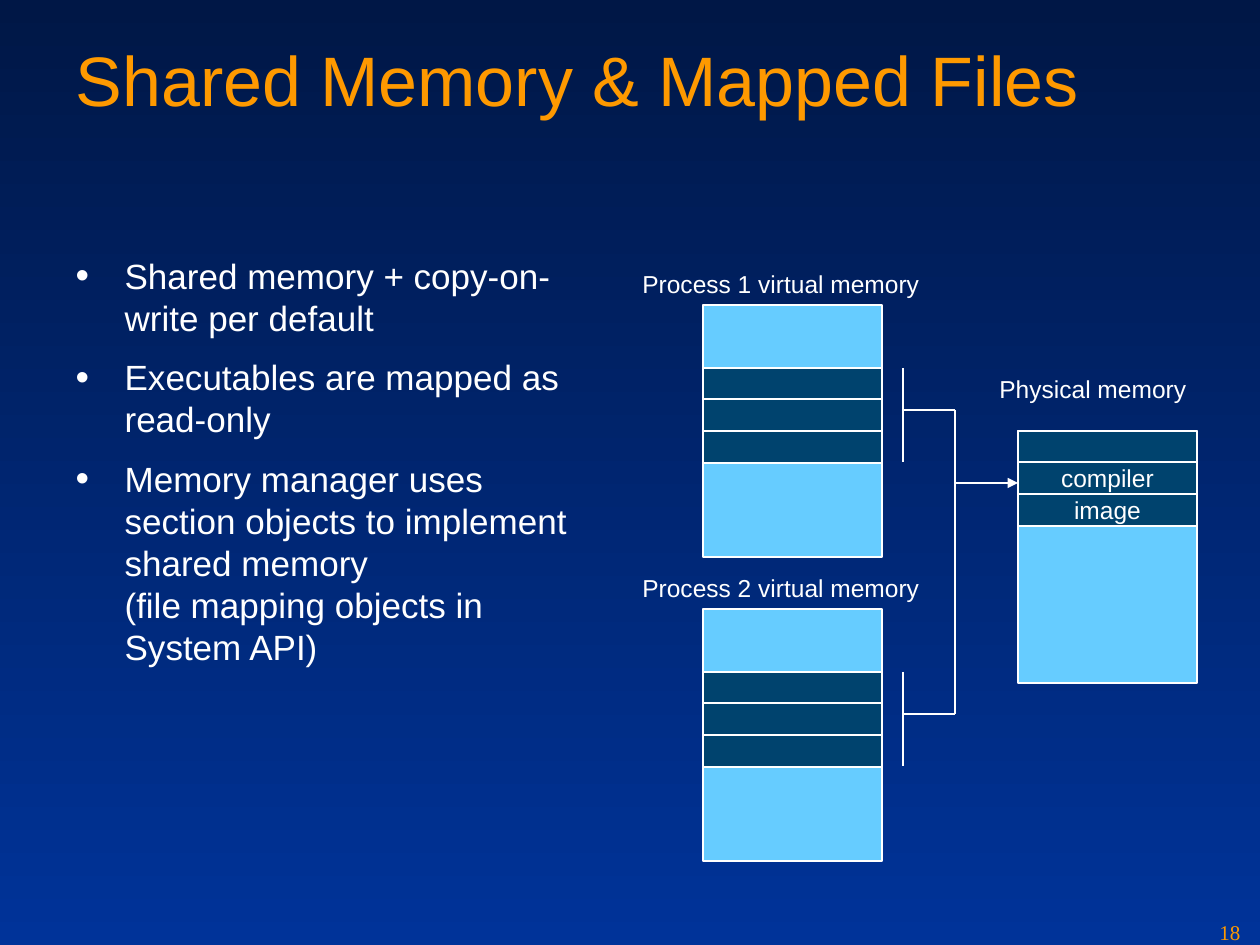
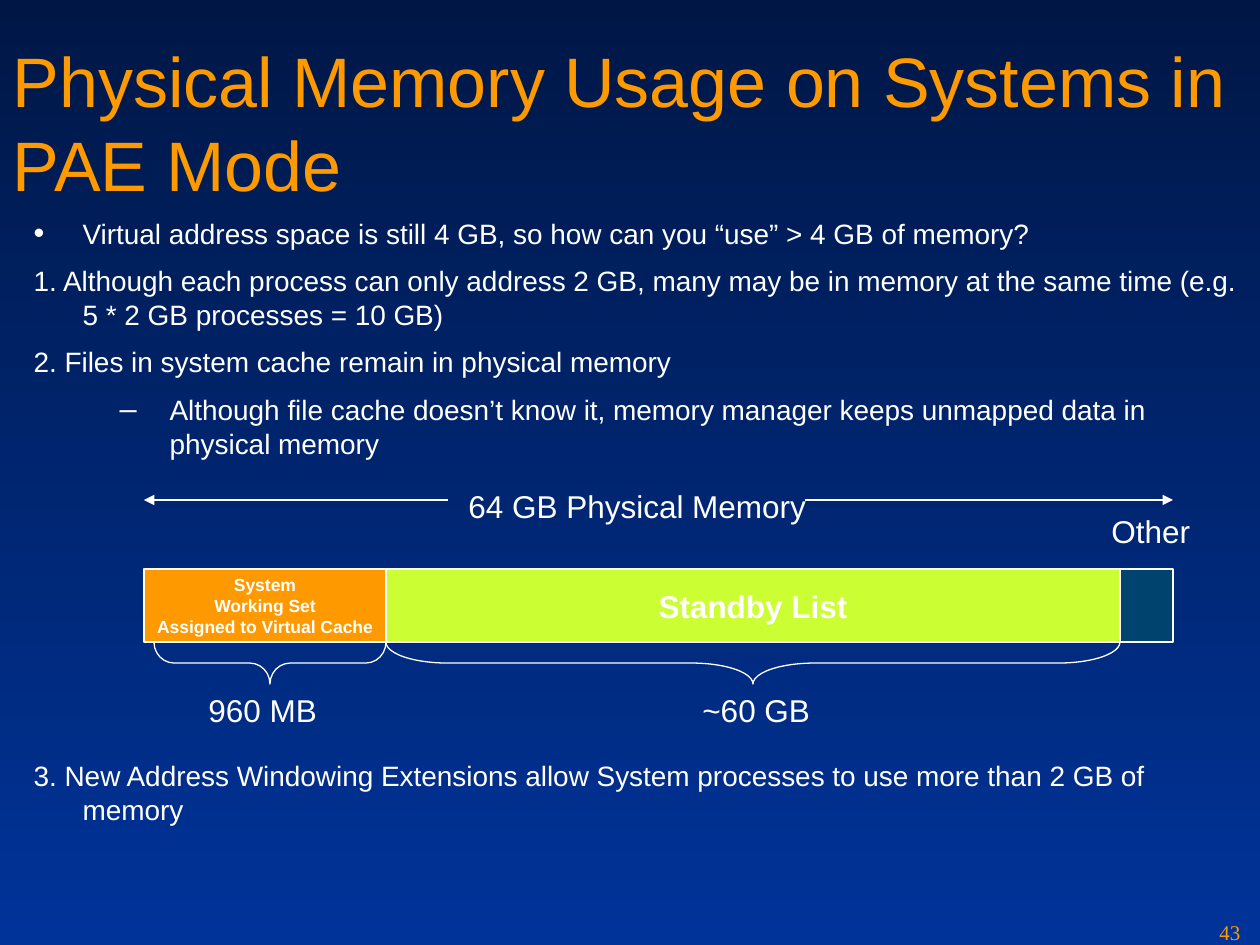
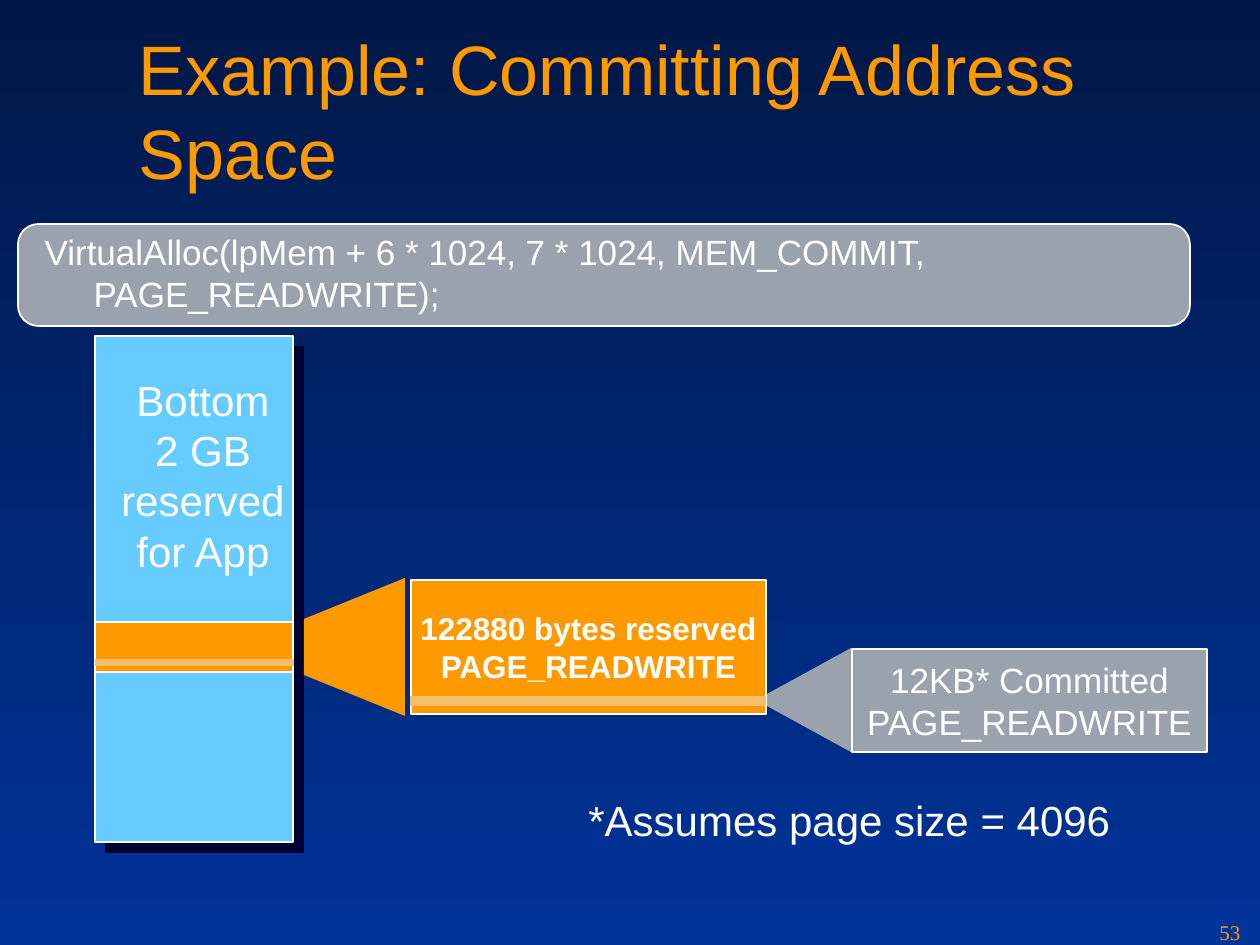
"""Build three slides on virtual and physical memory."""
from lxml import etree
from pptx import Presentation
from pptx import util as u
from pptx.dml.color import RGBColor
from pptx.enum import shapes, text
from pptx.oxml import ns

PX = 914400 / 126
WIDTH, HEIGHT = 1260, 945
INK = {
    "top": "001746", "base": "003399", "title": "FE9900", "white": "FFFFFF",
    "sky": "66CCFF", "deep": "00436E", "orange": "FF9900", "lime": "CCFF33",
    "grey": "9AA3AD", "sand": "F6BF69", "shade": "000033",
}
SANS, SERIF = "Arial", "Times New Roman"
LEFT, MID = text.PP_ALIGN.LEFT, text.PP_ALIGN.CENTER
KIND = shapes.MSO_SHAPE


def emu(*vals):
    """Turn px lengths into EMU."""
    return [u.Emu(round(v * PX)) for v in vals]


def rgb(name):
    """Look up a colour by name."""
    return RGBColor.from_string(INK[name])


def node(parent, tag, **attrs):
    """Append a drawing element with its attributes."""
    return etree.SubElement(parent, ns.qn("a:" + tag), attrs)


def style(par, size, ink="white", font=SANS, bold=False, align=LEFT):
    """Format every run of a paragraph."""
    par.alignment = align
    for run in par.runs:
        run.font.size, run.font.name, run.font.bold = u.Pt(size), font, bold
        run.font.color.rgb = rgb(ink)


def paint(shape, fill, line=0.75):
    """Set fill and outline, and drop the shadow."""
    shape.shadow.inherit = False
    if fill:
        shape.fill.solid()
        shape.fill.fore_color.rgb = rgb(fill)
    else:
        shape.fill.background()
    if line:
        shape.line.color.rgb = rgb("white")
        shape.line.width = u.Pt(line)
    else:
        shape.line.fill.background()


def block(slide, box, fill, words="", size=14, bold=False, line=0.75, kind=KIND.RECTANGLE):
    """Add a filled shape with optional centred text."""
    shape = slide.shapes.add_shape(kind, *emu(*box))
    paint(shape, fill, line)
    if words:
        frame = shape.text_frame
        frame.word_wrap = False
        frame.vertical_anchor = text.MSO_ANCHOR.MIDDLE
        frame.text = words
        for par in frame.paragraphs:
            style(par, size, bold=bold, align=MID)
    return shape


def label(slide, box, words, size, ink="white", font=SANS, align=LEFT):
    """Add a line of free text."""
    frame = slide.shapes.add_textbox(*emu(*box)).text_frame
    frame.word_wrap = False
    frame.auto_size = text.MSO_AUTO_SIZE.SHAPE_TO_FIT_TEXT
    frame.text = words
    style(frame.paragraphs[0], size, ink, font, align=align)


def wire(slide, start, end, ink="white", width=0.75, arrow=False):
    """Draw a straight line, with an arrowhead at its end if asked."""
    line = slide.shapes.add_connector(shapes.MSO_CONNECTOR.STRAIGHT, *emu(*start, *end))
    line.line.color.rgb = rgb(ink)
    line.line.width = u.Pt(width)
    if arrow:
        node(line.line._get_or_add_ln(), "tailEnd", type="triangle")
    node(line._element.spPr, "effectLst")


def brace(slide, left, right, top, curve):
    """Draw a brace that points down from a span."""
    span, deep = right - left, 42
    box = (left + (span - deep) / 2, top - (span - deep) / 2, deep, span)
    shape = block(slide, box, None, kind=KIND.LEFT_BRACE)
    shape.adjustments[0] = curve
    shape.rotation = 270


def funnel(slide, points, fill):
    """Draw a filled outline through the given points."""
    form = slide.shapes.build_freeform(*points[0], scale=PX)
    form.add_line_segments(points[1:], close=True)
    paint(form.convert_to_shape(), fill, None)


def stack(slide, left, top, first, words):
    """Draw a memory column with three mapped pages."""
    block(slide, (left, top, 179, 252), "sky")
    for i, word in enumerate(words):
        block(slide, (left, top + first + i * 63 // 2, 179, 32), "deep", word)


def item(par, words, size, bullet="", indent=(49, -49), before=0, after=5):
    """Fill one list paragraph."""
    par.text = words
    style(par, size)
    par.space_before, par.space_after = u.Pt(before), u.Pt(after)
    prop = par._p.get_or_add_pPr()
    for key, val in zip(("marL", "indent"), emu(*indent)):
        prop.set(key, str(val))
    if bullet:
        node(node(prop, "buClr"), "srgbClr", val=INK["white"])
        node(prop, "buSzPct", val="110000")
        node(prop, "buFont", typeface=SANS)
        node(prop, "buChar", char=bullet)
    else:
        node(prop, "buNone")


def place(holder, box):
    """Move a placeholder and return its text frame."""
    holder.left, holder.top, holder.width, holder.height = emu(*box)
    frame = holder.text_frame
    frame.word_wrap = True
    frame.auto_size = text.MSO_AUTO_SIZE.NONE
    frame.vertical_anchor = text.MSO_ANCHOR.TOP
    return frame


def page(deck, title, head, body, items, number):
    """Add a slide with title, list and page number."""
    slide = deck.slides.add_slide(deck.slide_layouts[1])
    frame = place(slide.shapes.title, head)
    frame.text = title
    style(frame.paragraphs[0], 40, "title")
    frame = place(slide.placeholders[1], body)
    for i, opts in enumerate(items):
        item(frame.add_paragraph() if i else frame.paragraphs[0], **opts)
    label(slide, (1207, 913, 53, 32), number, 12, "title", SERIF)
    return slide


def shared(deck):
    """Build the slide on shared memory."""
    points = (
        "Shared memory + copy-on-write per default",
        "Executables are mapped as read-only",
        "Memory manager uses section objects to implement shared memory"
        "\v(file mapping objects in System API)",
    )
    items = [dict(words=p, size=20, bullet="•", before=5) for p in points]
    slide = page(deck, "Shared Memory & Mapped Files", (63, 30, 1134, 158),
                 (63, 248, 524, 634), items, "18")
    stem, bus, goal = 903, 955, 1018
    for i, top in enumerate((305, 609), 1):
        stack(slide, 703, top, 63, ("", "", ""))
        label(slide, (630, top - 42, 302, 43), f"Process {i} virtual memory", 14)
        wire(slide, (stem, top + 63), (stem, top + 157))
        wire(slide, (stem, top + 105), (bus, top + 105))
    stack(slide, goal, 431, 0, ("", "compiler", "image"))
    label(slide, (987, 368, 212, 43), "Physical memory", 14)
    wire(slide, (bus, 410), (bus, 714))
    wire(slide, (bus, 483), (goal, 483), arrow=True)


def usage(deck):
    """Build the slide on physical memory usage."""
    base = dict(size=16, before=4, after=4)
    items = [
        dict(base, words="Virtual address space is still 4 GB, so how can you “use” > 4 GB of memory?",
             bullet="•"),
        dict(base, words="1. Although each process can only address 2 GB, many may be in memory "
             "at the same time (e.g. 5 * 2 GB processes = 10 GB)"),
        dict(base, words="2. Files in system cache remain in physical memory"),
        dict(base, words="Although file cache doesn’t know it, memory manager keeps unmapped data "
             "in physical memory", bullet="–", indent=(136, -50)),
        dict(base, words="3. New Address Windowing Extensions allow System processes to use more "
             "than 2 GB of memory", before=167),
    ]
    slide = page(deck, "Physical Memory Usage on Systems in PAE Mode", (0, 31, WIDTH, 158),
                 (21, 210, 1229, 714), items, "43")
    left, split, rest, right = 144, 386, 1120, 1173
    top, high = 569, 73
    block(slide, (rest, top, right - rest, high), "deep")
    block(slide, (left, top, split - left, high), "orange",
          "System\vWorking Set\nAssigned to Virtual Cache", 10, True)
    block(slide, (split, top, rest - split, high), "lime", "Standby List", 18, True)
    brace(slide, left + 10, split, top + high, 0.48)
    brace(slide, split, rest, top + high, 1.46)
    for x, y, wide, words in (
        (196, 685, 150, "960 MB"), (690, 685, 150, "~60 GB"),
        (1099, 506, 120, "Other"), (456, 481, 380, "64 GB Physical Memory"),
    ):
        label(slide, (x, y, wide, 50), words, 18)
    wire(slide, (805, 500), (right, 500), arrow=True)
    wire(slide, (448, 500), (left, 500), arrow=True)


def commit(deck):
    """Build the slide on committing address space."""
    code = "VirtualAlloc(lpMem + 6 * 1024, 7 * 1024, MEM_COMMIT, PAGE_READWRITE);"
    slide = page(deck, "Example: Committing Address Space", (126, 31, 1134, 158),
                 (32, 224, 1187, 619), [dict(words=code, size=20)], "53")
    slide.shapes.title.text_frame.vertical_anchor = text.MSO_ANCHOR.MIDDLE
    panel = block(slide, (18, 224, 1172, 102), "grey", line=1, kind=KIND.ROUNDED_RECTANGLE)
    panel.adjustments[0] = 0.2
    slide.shapes._spTree.insert(2, panel._element)
    block(slide, (411, 580, 355, 134), "orange",
          "122880 bytes reserved\vPAGE_READWRITE", 18, True, 1)
    space = block(slide, (95, 336, 198, 506), "sky", line=1)
    effect = space._element.spPr.find(ns.qn("a:effectLst"))
    cast = node(effect, "outerShdw", dist=str(u.Pt(8.5)), dir="2700000", algn="tl", rotWithShape="0")
    node(cast, "srgbClr", val=INK["shade"])
    label(slide, (108, 368, 190, 214), "Bottom\v2 GB\vreserved\vfor App", 24, align=MID)
    block(slide, (95, 622, 198, 50), "orange", line=1)
    funnel(slide, [(405, 578), (405, 716), (304, 675), (304, 619)], "orange")
    wire(slide, (294, 663), (95, 663), "sand", 4)
    label(slide, (576, 788, 560, 63), "*Assumes page size = 4096", 24)
    wire(slide, (410, 701), (766, 701), "sand", 6)
    funnel(slide, [(851, 648), (851, 752), (767, 706), (767, 694)], "grey")
    block(slide, (852, 649, 355, 103), "grey", "12KB* Committed\vPAGE_READWRITE", 20, line=1)


def main():
    """Build and save the deck."""
    deck = Presentation()
    deck.slide_width, deck.slide_height = emu(WIDTH, HEIGHT)
    fill = deck.slide_master.background.fill
    fill.gradient()
    fill.gradient_angle = 270
    for stop, name in zip(fill.gradient_stops, ("top", "base")):
        stop.color.rgb = rgb(name)
    shared(deck)
    usage(deck)
    commit(deck)
    deck.save("out.pptx")


if __name__ == "__main__":
    main()
